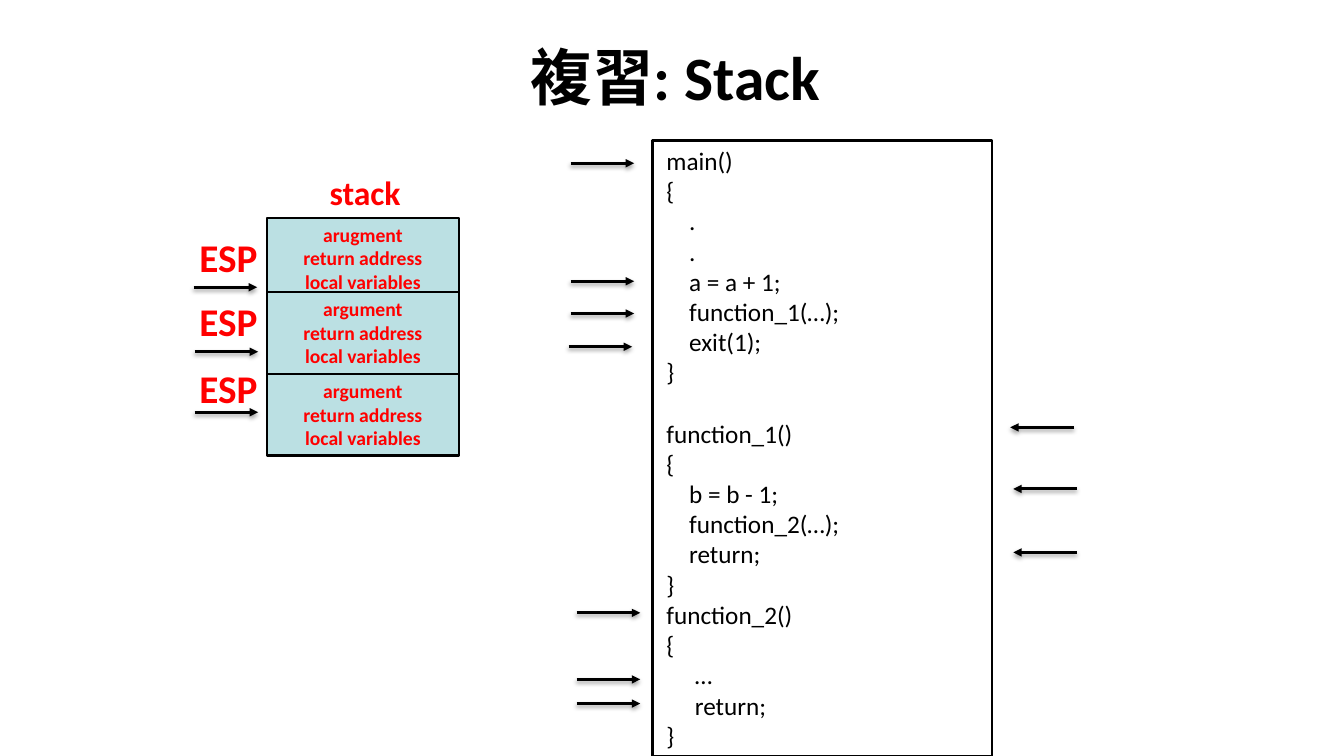
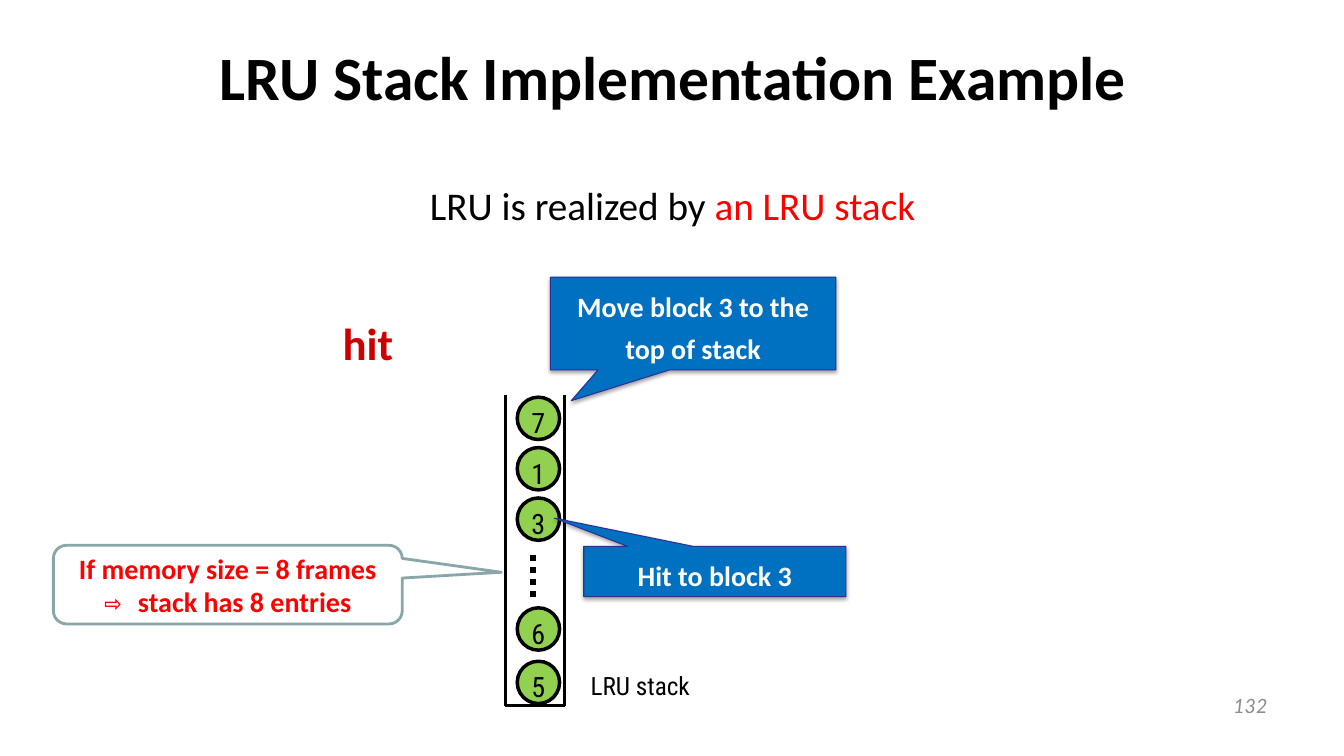
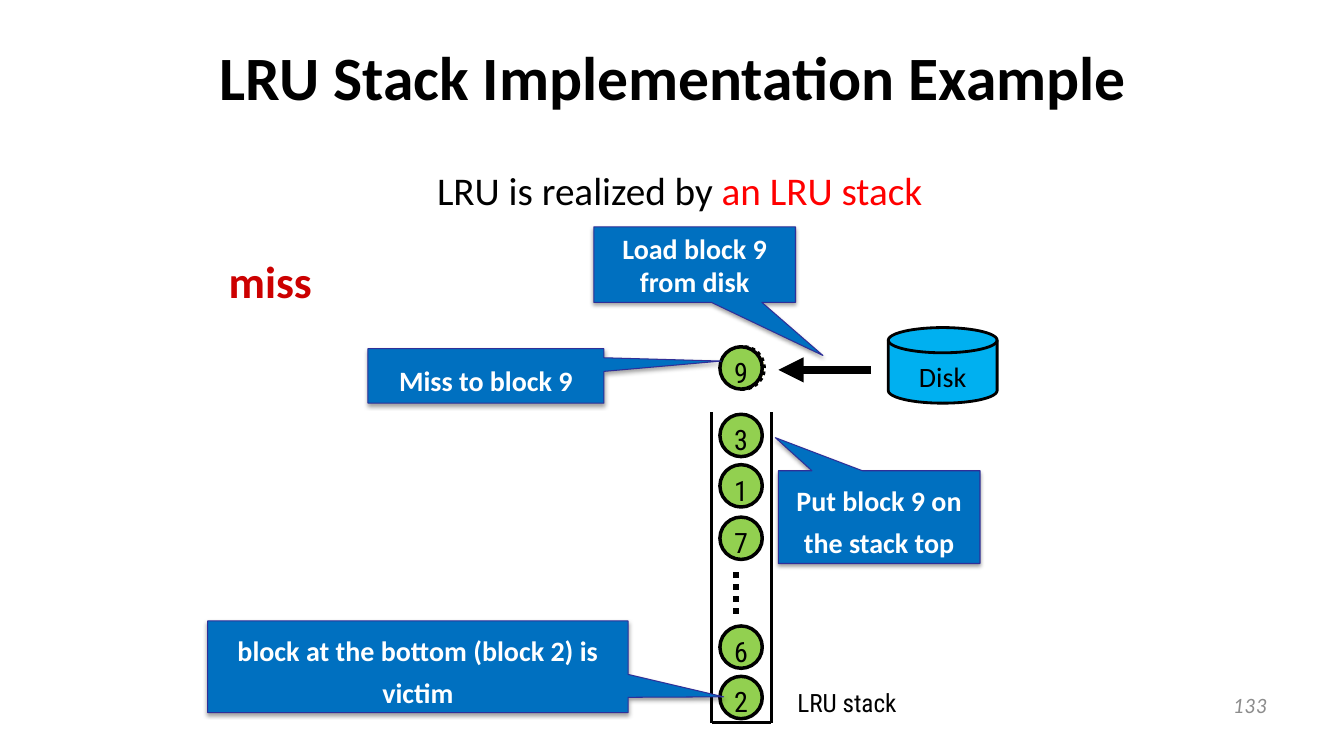
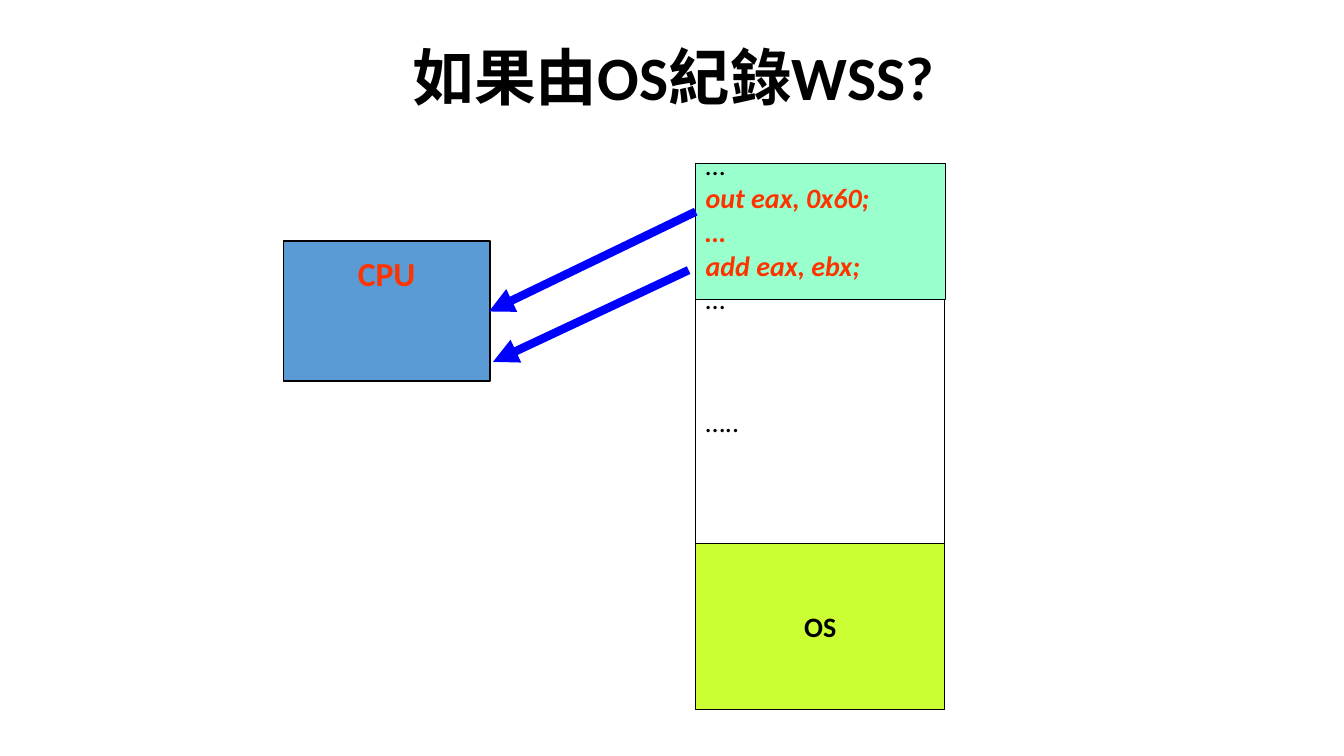
from pptx import Presentation, util as u
from pptx.dml.color import RGBColor
from pptx.enum import dml, shapes, text
from pptx.oxml import ns, parse_xml
from pptx.util import Inches, Pt

BLACK = RGBColor(0x00, 0x00, 0x00)
WHITE = RGBColor(0xFF, 0xFF, 0xFF)
RED = RGBColor(0xFF, 0x00, 0x00)
DARK = RGBColor(0xCC, 0x00, 0x00)
ORANGE = RGBColor(0xFF, 0x33, 0x00)
GREY = RGBColor(0x8C, 0x8C, 0x8C)
PALE = RGBColor(0xBB, 0xE0, 0xE3)
GREEN = RGBColor(0x92, 0xD0, 0x50)
YELLOW = RGBColor(0xFF, 0xFF, 0x00)
BLUE = RGBColor(0x00, 0x70, 0xC0)
NAVY = RGBColor(0x2F, 0x2F, 0x98)
TEAL = RGBColor(0x8A, 0xA6, 0xA8)
SKY = RGBColor(0x00, 0xB0, 0xF0)
STEEL = RGBColor(0x5B, 0x9B, 0xD5)
MINT = RGBColor(0x99, 0xFF, 0xCC)
LIME = RGBColor(0xCC, 0xFF, 0x33)
PURE = RGBColor(0x00, 0x00, 0xFF)

KIND = shapes.MSO_SHAPE
LEFT, MID, RIGHT = text.PP_ALIGN.LEFT, text.PP_ALIGN.CENTER, text.PP_ALIGN.RIGHT
TOP, CENTER = text.MSO_ANCHOR.TOP, text.MSO_ANCHOR.MIDDLE
DOT = dml.MSO_LINE.ROUND_DOT
NS = ns.nsdecls("a")
EFFECT = f"<a:effectLst {NS}/>"
SHADOW = (f'<a:outerShdw {NS} blurRad="39400" dist="21600" dir="5400000" rotWithShape="0">'
          '<a:srgbClr val="000000"><a:alpha val="36000"/></a:srgbClr></a:outerShdw>')
ARROW = f'<a:tailEnd {NS} type="triangle"/>'


def put(page, words, at, kind=None, fill=None, line=None, width=1, dash=None, adj=(),
        shadow=False, size=20, font="Calibri", color=BLACK, bold=False, italic=False,
        align=LEFT, anchor=TOP, space=None, pad=(0.1, 0.05), wrap=True):
    """Place a text box, or a preset shape when kind is given.

    words is a string with one paragraph a line, or a list of paragraphs,
    each a list of (text, changed format) runs.
    """
    place = [Inches(n) for n in at]
    if kind is None:
        box = page.shapes.add_textbox(*place)
    else:
        box = page.shapes.add_shape(kind, *place)
        for n, value in enumerate(adj):
            box.adjustments[n] = value
        if fill is None:
            box.fill.background()
        else:
            box.fill.solid()
            box.fill.fore_color.rgb = fill
        box.line.color.rgb = line
        box.line.width = Pt(width)
        if dash:
            box.line.dash_style = dash
        box.shadow.inherit = False
        if shadow:
            box._element.spPr.find(ns.qn("a:effectLst")).append(parse_xml(SHADOW))
    frame = box.text_frame
    frame.word_wrap = wrap
    frame.vertical_anchor = anchor
    frame.margin_left = frame.margin_right = Inches(pad[0])
    frame.margin_top = frame.margin_bottom = Inches(pad[1])
    if isinstance(words, str):
        words = [[(row, {})] for row in words.split("\n")]
    for n, runs in enumerate(words):
        para = frame.add_paragraph() if n else frame.paragraphs[0]
        para.alignment = align
        if space:
            para.line_spacing = space
        for part, change in runs:
            if not part:
                continue
            look = dict(font=font, color=color, bold=bold, italic=italic) | change
            run = para.add_run()
            run.text = part
            run.font.size = Pt(size)
            run.font.name = look["font"]
            run.font.color.rgb = look["color"]
            run.font.bold = look["bold"]
            run.font.italic = look["italic"]
    return box


def draw(page, start, end, width=2, color=BLACK, dash=None, arrow=False, shadow=False):
    """Draw a straight line, with an arrowhead at its end if asked."""
    ends = [Inches(n) for n in (*start, *end)]
    rule = page.shapes.add_connector(shapes.MSO_CONNECTOR.STRAIGHT, *ends)
    rule.line.color.rgb = color
    rule.line.width = Pt(width)
    if dash:
        rule.line.dash_style = dash
    if arrow:
        rule.line._get_or_add_ln().append(parse_xml(ARROW))
    effect = parse_xml(EFFECT)
    if shadow:
        effect.append(parse_xml(SHADOW))
    rule._element.spPr.append(effect)


deck = Presentation()
deck.slide_width, deck.slide_height = u.Inches(13.33), u.Inches(7.5)

# Slides with their titles and numbers
pages = []
for title, left, number in [
    ("複習: Stack", 0.7, None),
    ("LRU Stack Implementation Example", 0.68, "132"),
    ("LRU Stack Implementation Example", 0.68, "133"),
    ("如果由OS紀錄WSS?", 0.68, None),
]:
    page = deck.slides.add_slide(deck.slide_layouts[6])
    put(page, title, (left, 0.13, 12, 1.25), size=44, bold=True, align=MID, anchor=CENTER)
    if number:
        put(page, number, (9.56, 6.83, 3.11, 0.52), size=14, font="Lato", color=GREY,
            italic=True, align=RIGHT)
    pages.append(page)
calls, hit, miss, system = pages

# Slide 1: program code
CODE = """main()
{
    .
    .
    a = a + 1;
    function_1(…);
    exit(1);
}
function_1()
{
    b = b - 1;
    function_2(…);
    return;
}
function_2()
{
     …
     return;
}"""
code = put(calls, CODE, (6.47, 1.39, 3.37, 6.11), KIND.RECTANGLE, WHITE, BLACK, 2,
           size=18, pad=(0.14, 0.05))
code.text_frame.paragraphs[8].space_before = Pt(22)

# Slide 1: stack frames
put(calls, "stack", (3.17, 1.66, 0.94, 0.5), size=24, color=RED, bold=True)
for top, first, width in [(2.16, "arugment", 1.25), (2.9, "argument", 1.5),
                          (3.71, "argument", 1.5)]:
    put(calls, first + "\nreturn address\nlocal variables", (2.65, top, 1.9, 0.81),
        KIND.RECTANGLE, PALE, BLACK, width, size=14, color=RED, bold=True, align=MID)
for top in (2.27, 2.9, 3.57):
    put(calls, "ESP", (1.88, top, 1.02, 0.57), size=28, color=RED, bold=True)

# Slide 1: arrows, by start and signed length
REACH = 0.63
for x, y, reach in [
    (1.92, 2.85, REACH), (1.93, 3.49, REACH), (1.93, 4.09, REACH),
    (5.66, 1.62, REACH), (5.66, 2.79, REACH), (5.66, 3.11, REACH), (5.64, 3.44, REACH),
    (5.72, 6.08, REACH), (5.72, 6.74, REACH), (5.72, 6.98, REACH),
    (10.65, 4.24, -REACH), (10.68, 4.85, -REACH), (10.68, 5.48, -REACH),
]:
    draw(calls, (x, y), (x + reach, y), arrow=True, shadow=True)

# Slides 2 and 3: the LRU stack and its heading
BALL = 0.42
disc = dict(kind=KIND.OVAL, fill=GREEN, line=BLACK, width=2.5, font="Roboto Condensed",
            align=MID, anchor=CENTER, space=1.25, pad=(0, 0), wrap=False)
for page, word, spot, head, left, top, ball, blocks in [
    (hit, "hit", (3.3, 2.95, 0.93, 0.77), (2.17, 1.75), 5.01, 3.92, 5.13,
     [("7", 3.94), ("1", 4.44), ("3", 4.94), ("6", 6.03), ("5", 6.56)]),
    (miss, "miss", (2.17, 2.33, 1.35, 0.77), (2.24, 1.6), 7.06, 4.09, 7.14,
     [("3", 4.11), ("1", 4.61), ("7", 5.13), ("6", 6.21), ("2", 6.71)]),
]:
    put(page, [[("LRU is realized by ", {}), ("an LRU stack", {"color": RED})]],
        (*head, 9, 0.66), size=28, align=MID)
    put(page, word, spot, size=32, color=DARK, bold=True, anchor=CENTER, space=1.25)
    right, base = left + 0.59, top + 3.08
    for start, end in [((right, top), (right, base)), ((left, base), (right, base)),
                       ((left, top), (left, base))]:
        draw(page, start, end, 2.25)
    put(page, "LRU stack", (left + 0.75, top + 2.6, 1.33, 0.48), size=18,
        font="Roboto Condensed", anchor=CENTER, space=1.25)
    for block, y in blocks:
        put(page, block, (ball, y, BALL, BALL), **disc)
    dots = ball + 0.16
    draw(page, (dots, top + 2), (dots, top + 1.58), 4.25, dash=DOT)

# Slide 3: block 9 arrives from the disk
ghost = put(miss, "", (7.16, 3.44, BALL, BALL), **(disc | dict(fill=YELLOW, dash=DOT)))
tint = ghost._element.spPr.find(ns.qn("a:solidFill")).find(ns.qn("a:srgbClr"))
tint.append(parse_xml(f'<a:alpha {NS} val="50000"/>'))
put(miss, "9", (7.14, 3.44, BALL, BALL), **disc)
put(miss, "Disk", (8.81, 3.25, 1.08, 0.75), KIND.FLOWCHART_MAGNETIC_DISK, SKY, BLACK, 2,
    align=MID, anchor=CENTER, space=1.25)
draw(miss, (8.64, 3.67), (7.72, 3.67), 6, arrow=True)

# Slides 2 and 3: callouts
for page, words, at, adj, space in [
    (hit, "Hit to block 3", (5.79, 5.42, 2.6, 0.5), (-0.612, -1.059), 1.25),
    (hit, "Move block 3 to the top of stack", (5.46, 2.75, 2.83, 0.92), (-0.427, 0.832), 1.25),
    (miss, "Load block 9 from disk", (5.89, 2.25, 2, 0.75), (0.636, 1.202), None),
    (miss, "Put block 9 on the stack top", (7.72, 4.67, 2, 0.92), (-0.515, -0.857), 1.25),
    (miss, "block at the bottom (block 2) is victim", (2.06, 6.16, 4.17, 0.91),
     (0.727, 0.328), 1.25),
    (miss, "Miss to block 9", (3.65, 3.46, 2.34, 0.54), (0.997, -0.273), 1.25),
]:
    put(page, words, at, KIND.RECTANGULAR_CALLOUT, BLUE, NAVY, 0.75, adj=adj, shadow=True,
        color=WHITE, bold=True, align=MID, anchor=CENTER, space=space)
put(hit, [[("If memory size = 8 frames", {})],
          [("⇨ ", {"font": "DejaVu Sans Mono"}), ("stack has 8 entries", {})]],
    (0.53, 5.41, 3.46, 0.78), KIND.ROUNDED_RECTANGULAR_CALLOUT, None, TEAL, 2,
    adj=(0.784, -0.157, 0.167), color=RED, bold=True, align=MID, anchor=CENTER)

# Slide 4: memory, processor and the instructions between them
loud = dict(color=ORANGE, bold=True, italic=True)
put(system, [[("…", {})], [("out eax, 0x60;", loud)], [("…", loud)],
             [("add eax, ebx;", loud)], [("…", {})]],
    (6.9, 1.62, 2.48, 1.35), KIND.RECTANGLE, MINT, BLACK, anchor=CENTER)
put(system, "OS", (6.9, 5.39, 2.47, 1.65), KIND.RECTANGLE, LIME, BLACK, bold=True,
    align=MID, anchor=CENTER)
put(system, "…..", (6.9, 2.97, 2.47, 2.42), KIND.RECTANGLE, None, BLACK, anchor=CENTER)
put(system, "CPU", (2.81, 2.39, 2.05, 1.39), KIND.RECTANGLE, STEEL, BLACK, size=24,
    color=ORANGE, bold=True, align=MID, pad=(0.1, 0.12))
for start, end in [((6.9, 2.1), (4.85, 3.09)), ((6.83, 2.68), (4.89, 3.59))]:
    draw(system, start, end, 6, PURE, arrow=True)

deck.save("out.pptx")
